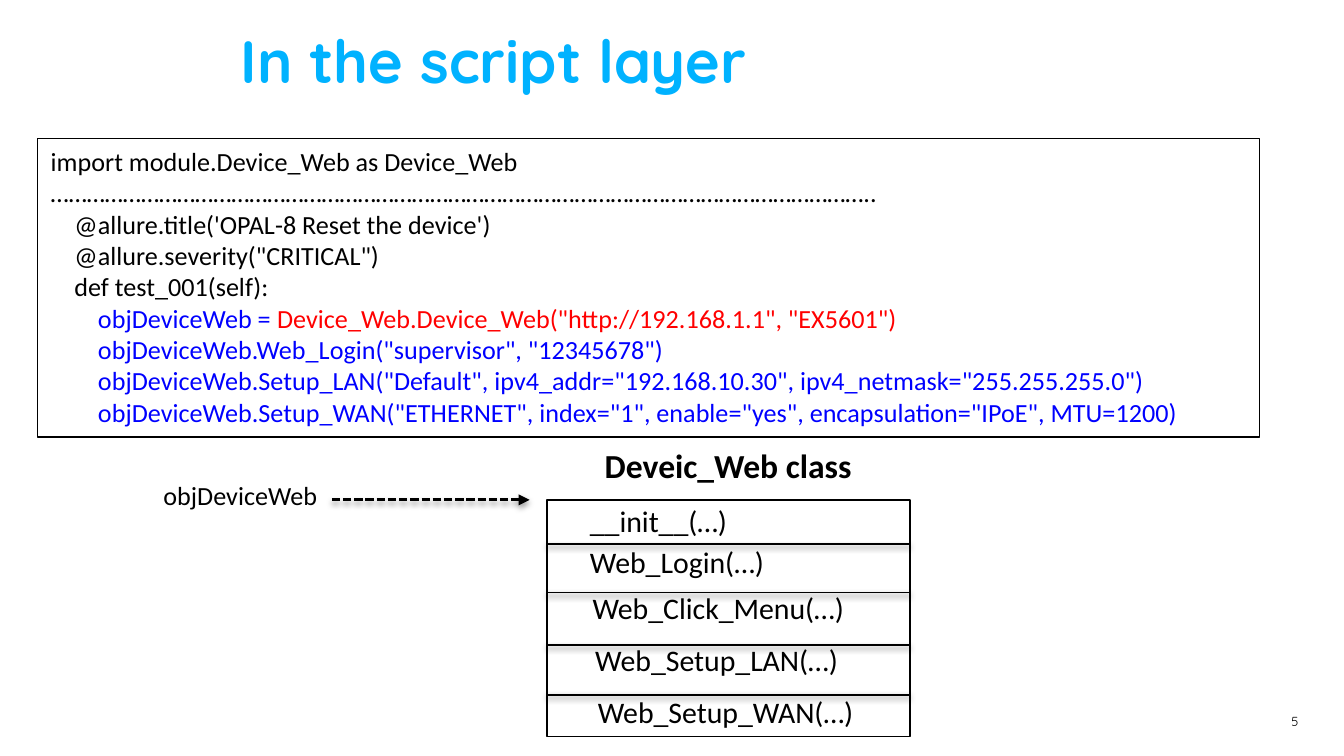
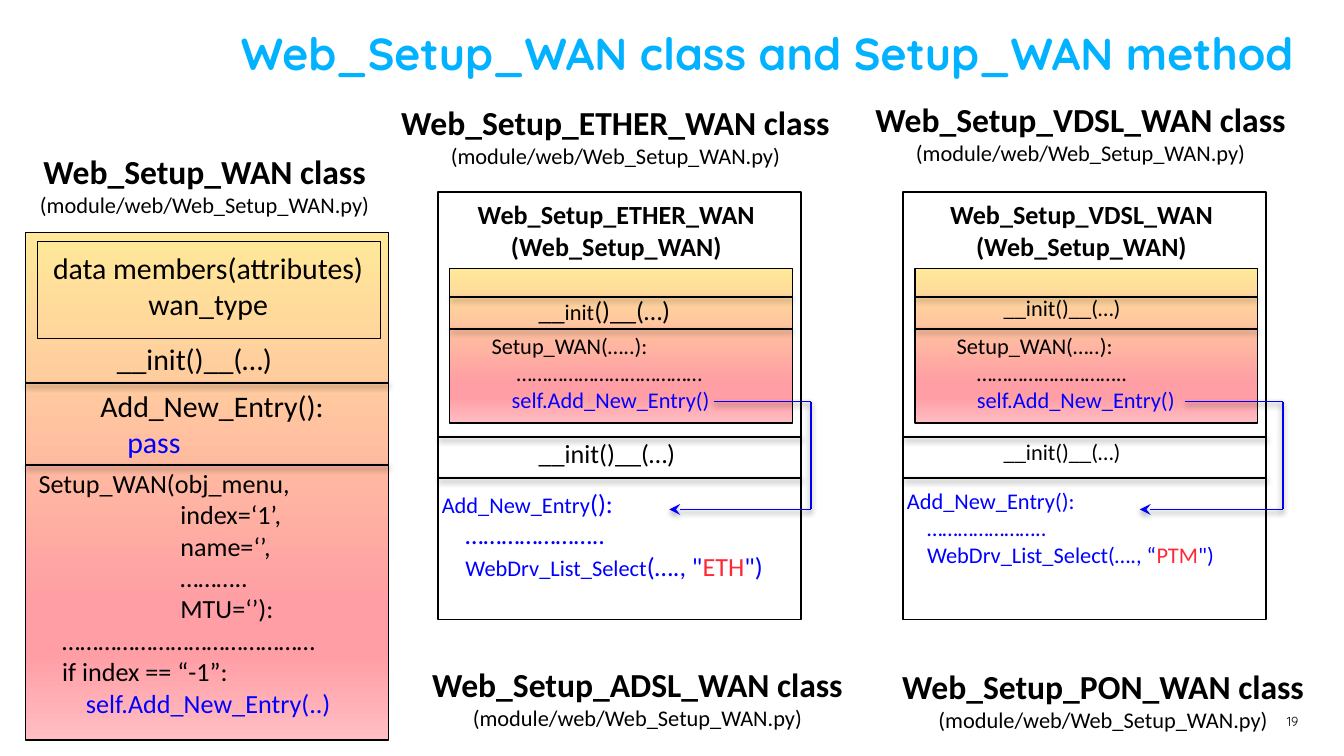
from collections import namedtuple

from lxml import etree
from pptx import Presentation
from pptx import util as u
from pptx.dml.color import RGBColor
from pptx.enum import dml, shapes, text
from pptx.oxml import ns

BLACK, BLUE, RED, PINK = "000000", "0000FF", "FF0000", "FF2837"
TITLE_COLOR = "00B2FF"
BODY_FONT, TITLE_FONT = "Calibri", "Quicksand"
WARM_STOPS = [(0, "FFE999"), (74, "FF9EA5"), (83, "FF9EA5"), (100, "FFBEC3")]
LEFT, CENTER, RIGHT = text.PP_ALIGN.LEFT, text.PP_ALIGN.CENTER, text.PP_ALIGN.RIGHT
CLASS_WIDTH = 6.86
INNER_WIDTH = 6.48
MODULE_FILE = "(module/web/Web_Setup_WAN.py)"
INIT = "__init()__(…)"

Span = namedtuple("Span", "words color size bold", defaults=(None, None, None))


def rgb(color):
    return RGBColor.from_string(color)


def cm(*lengths):
    return [u.Cm(length) for length in lengths]


def child(parent, tag, **attributes):
    return etree.SubElement(parent, ns.qn(tag), attributes)


def style_font(font, span):
    if span.color:
        font.color.rgb = rgb(span.color)
    if span.size:
        font.size = u.Pt(span.size)
    if span.bold is not None:
        font.bold = span.bold


def write(frame, lines, size, color=BLACK, bold=False, align=LEFT, face=BODY_FONT):
    for index, line in enumerate(lines):
        para = frame.add_paragraph() if index else frame.paragraphs[0]
        para.alignment = align
        para.font.name = face
        style_font(para.font, Span("", color, size, bold))
        if isinstance(line, str):
            para.add_run().text = line
        elif isinstance(line, Span):
            para.add_run().text = line.words
            style_font(para.font, line)
        else:
            for span in line:
                run = para.add_run()
                run.text = span.words
                style_font(run.font, span)


def add_page(deck, title, size, width, height, number):
    page = deck.slides.add_slide(deck.slide_layouts[5])
    box = page.shapes.title
    box.left, box.top, box.width, box.height = cm(4.55, 0.61, width, height)
    frame = box.text_frame
    frame.margin_left = frame.margin_right = frame.margin_top = frame.margin_bottom = 0
    frame.vertical_anchor = text.MSO_ANCHOR.TOP
    frame.auto_size = text.MSO_AUTO_SIZE.SHAPE_TO_FIT_TEXT
    write(frame, [title], size, TITLE_COLOR, True, face=TITLE_FONT)
    frame.paragraphs[0].line_spacing = 0.9
    footer = page.shapes.add_textbox(*cm(23.93, 13.13, 0.86, 1.02)).text_frame
    footer.word_wrap = True
    footer.vertical_anchor = text.MSO_ANCHOR.MIDDLE
    write(footer, [number], 7, align=RIGHT, face=TITLE_FONT)
    return page


def add_label(page, left, top, width, height, lines, size, **style):
    frame = page.shapes.add_textbox(*cm(left, top, width, height)).text_frame
    frame.word_wrap = False
    frame.auto_size = text.MSO_AUTO_SIZE.SHAPE_TO_FIT_TEXT
    write(frame, lines, size, **style)


def add_panel(page, left, top, width, height, warm=False):
    panel = page.shapes.add_shape(shapes.MSO_SHAPE.RECTANGLE, *cm(left, top, width, height))
    panel.shadow.inherit = False
    panel.line.color.rgb = rgb(BLACK)
    panel.line.width = u.Pt(0.75)
    if not warm:
        panel.fill.background()
        return panel
    panel.fill.gradient()
    panel.fill.gradient_angle = 270
    stops = panel.element.spPr.find(ns.qn("a:gradFill")).find(ns.qn("a:gsLst"))
    for stop in list(stops):
        stops.remove(stop)
    for position, color in WARM_STOPS:
        stop = child(stops, "a:gs", pos=str(position * 1000))
        child(stop, "a:srgbClr", val=color)
    return panel


def add_line(page, start, end, color=BLACK, width=1, dashed=False, arrow=None):
    line = page.shapes.add_connector(shapes.MSO_CONNECTOR.STRAIGHT, *cm(*start, *end))
    line.line.color.rgb = rgb(color)
    line.line.width = u.Pt(width)
    if dashed:
        line.line.dash_style = dml.MSO_LINE.SQUARE_DOT
    properties = line.element.spPr
    if arrow:
        child(properties.find(ns.qn("a:ln")), "a:tailEnd", type=arrow)
    shadow = child(child(properties, "a:effectLst"), "a:outerShdw", blurRad="39370",
                   dist="20320", dir="5400000", rotWithShape="0")
    child(child(shadow, "a:srgbClr", val=BLACK), "a:alpha", val="38000")


def add_dividers(page, left, width, tops):
    for top in tops:
        add_line(page, (left, top), (left + width, top))


def add_heading(page, left, top, width, name):
    add_label(page, left, top, width, 1.55,
              [Span(f"{name} class", size=18, bold=True), MODULE_FILE], 12, align=CENTER)


def add_call_arrow(page, start, turn, end):
    call_y, method_y = 7.59, 9.63
    add_line(page, (start, call_y), (turn, call_y), BLUE)
    add_line(page, (turn, call_y), (turn, method_y), BLUE)
    add_line(page, (turn, method_y), (end, method_y), BLUE, arrow="stealth")


def add_subclass(page, left, name, init_size, init_width, base_init, dots,
                 method, method_width, arrow):
    add_panel(page, left, 3.63, CLASS_WIDTH, 8.08)
    add_dividers(page, left + 0.02, CLASS_WIDTH, [8.26, 9.04])
    add_label(page, left + 0.47, 3.63, 5.8, 1.45, [name, "(Web_Setup_WAN)"], 14,
              bold=True, align=CENTER)
    inner = left + 0.22
    add_panel(page, inner, 5.08, INNER_WIDTH, 2.92, warm=True)
    add_dividers(page, inner, INNER_WIDTH, [5.61, 6.22])
    for top, line in [(5.44, base_init), (8.15, INIT)]:
        add_label(page, left + 1.65, top, init_width, 0.8, [line], init_size)
    add_label(page, left + 0.76, 6.15, 4.88, 1.8,
              ["Setup_WAN(…..):", dots, Span("    self.Add_New_Entry()", BLUE)], 12)
    add_label(page, left - 0.18, 9.09, method_width, 2, method, init_size, color=BLUE)
    add_call_arrow(page, *(left + offset for offset in arrow))


def build_script_layer(deck):
    page = add_page(deck, "In the script layer", 32, 18.95, 1.22, "5")
    code = add_panel(page, 0.71, 2.62, 23.09, 5.64).text_frame
    code.word_wrap = True
    code.vertical_anchor = text.MSO_ANCHOR.TOP
    write(code, [
        "import module.Device_Web as Device_Web",
        "………………………………………………………………………………………………………………………..",
        "    @allure.title('OPAL-8 Reset the device')",
        '    @allure.severity("CRITICAL")',
        "    def test_001(self):",
        [Span("        objDeviceWeb = ", BLUE),
         Span('Device_Web.Device_Web("http://192.168.1.1", "EX5601")', RED)],
        Span('        objDeviceWeb.Web_Login("supervisor", "12345678")', BLUE),
        Span('        objDeviceWeb.Setup_LAN("Default", ipv4_addr="192.168.10.30", '
             'ipv4_netmask="255.255.255.0")', BLUE),
        Span('        objDeviceWeb.Setup_WAN("ETHERNET", index="1", enable="yes", '
             'encapsulation="IPoE", MTU=1200)', BLUE),
    ], 14)

    add_panel(page, 10.34, 9.45, CLASS_WIDTH, 4.47)
    add_dividers(page, 10.33, CLASS_WIDTH, [10.29, 11.2, 12.19, 13.13])
    add_label(page, 11.18, 8.28, 5.21, 1.02, ["Deveic_Web class"], 18, bold=True)
    add_label(page, 2.84, 8.94, 3.45, 0.86, ["objDeviceWeb"], 14)
    add_line(page, (6.27, 9.45), (10.01, 9.45), width=1.5, dashed=True, arrow="triangle")
    methods = [
        ("__init__(…)", 10.9, 9.37, 3.15),
        ("Web_Login(…)", 10.9, 10.16, 3.91),
        ("Web_Click_Menu(…)", 10.95, 11.02, 5.31),
        ("Web_Setup_LAN(…)", 11, 12.01, 5.16),
        ("Web_Setup_WAN(…)", 11.05, 12.98, 5.41),
    ]
    for name, left, top, width in methods:
        add_label(page, left, top, width, 0.94, [name], 16)


def add_base_class(page):
    left = 0.48
    add_panel(page, left, 4.39, CLASS_WIDTH, 9.6, warm=True)
    add_dividers(page, left, CLASS_WIDTH, [7.24, 8.79])
    add_panel(page, 0.71, 4.57, INNER_WIDTH, 1.83)
    add_label(page, 0.71, 4.6, 6.45, 1.63, ["data members(attributes)", "wan_type"], 16,
              align=CENTER)
    add_label(page, 1.96, 6.32, 3.48, 0.94, [INIT], 16)
    add_label(page, 1.65, 7.21, 4.8, 1.63,
              ["Add_New_Entry():", Span("    pass", BLUE)], 16)
    add_label(page, left, 8.71, 6.07, 5.05, [
        "Setup_WAN(obj_menu,",
        "                        index=‘1’,",
        "                        name=‘’,",
        "                        ………..",
        "                        MTU=‘’):",
        "    ……………………………………",
        "    if index == “-1”:",
        Span("        self.Add_New_Entry(..)", BLUE),
    ], 14)


def build_wan_classes(deck):
    page = add_page(deck, "Web_Setup_WAN class and Setup_WAN method", 24, 19.96, 0.91, "19")
    headings = [
        ("Web_Setup_WAN", 0.48, 2.72, 6.78),
        ("Web_Setup_ETHER_WAN", 7.29, 1.8, 8.69),
        ("Web_Setup_VDSL_WAN", 16.26, 1.75, 8.33),
        ("Web_Setup_ADSL_WAN", 7.87, 12.42, 8.36),
        ("Web_Setup_PON_WAN", 16.76, 12.47, 8.18),
    ]
    for name, left, top, width in headings:
        add_heading(page, left, top, width, name)
    add_base_class(page)
    add_subclass(
        page, 8.28, "Web_Setup_ETHER_WAN", 14, 3.12,
        [Span("__"), Span("init", size=12), Span("()__(…)")],
        "     ………………………………",
        [[Span("Add_New_Entry", size=12), Span("():")],
         "    …………………..",
         [Span("    "), Span("WebDrv_List_Select", size=12), Span('(…., "'),
          Span("ETH", PINK), Span('")')]],
        6.63, (5.21, 7.04, 4.37))
    add_subclass(
        page, 17.07, "Web_Setup_VDSL_WAN", 12, 2.74, INIT,
        "    ………………………..",
        ["Add_New_Entry():",
         "    …………………..",
         [Span("    WebDrv_List_Select(…., “"), Span("PTM", PINK), Span('")')]],
        6.38, (5.33, 7.17, 4.47))


def main():
    deck = Presentation()
    deck.slide_width, deck.slide_height = cm(25.4, 14.29)
    build_script_layer(deck)
    build_wan_classes(deck)
    deck.save("out.pptx")


if __name__ == "__main__":
    main()
